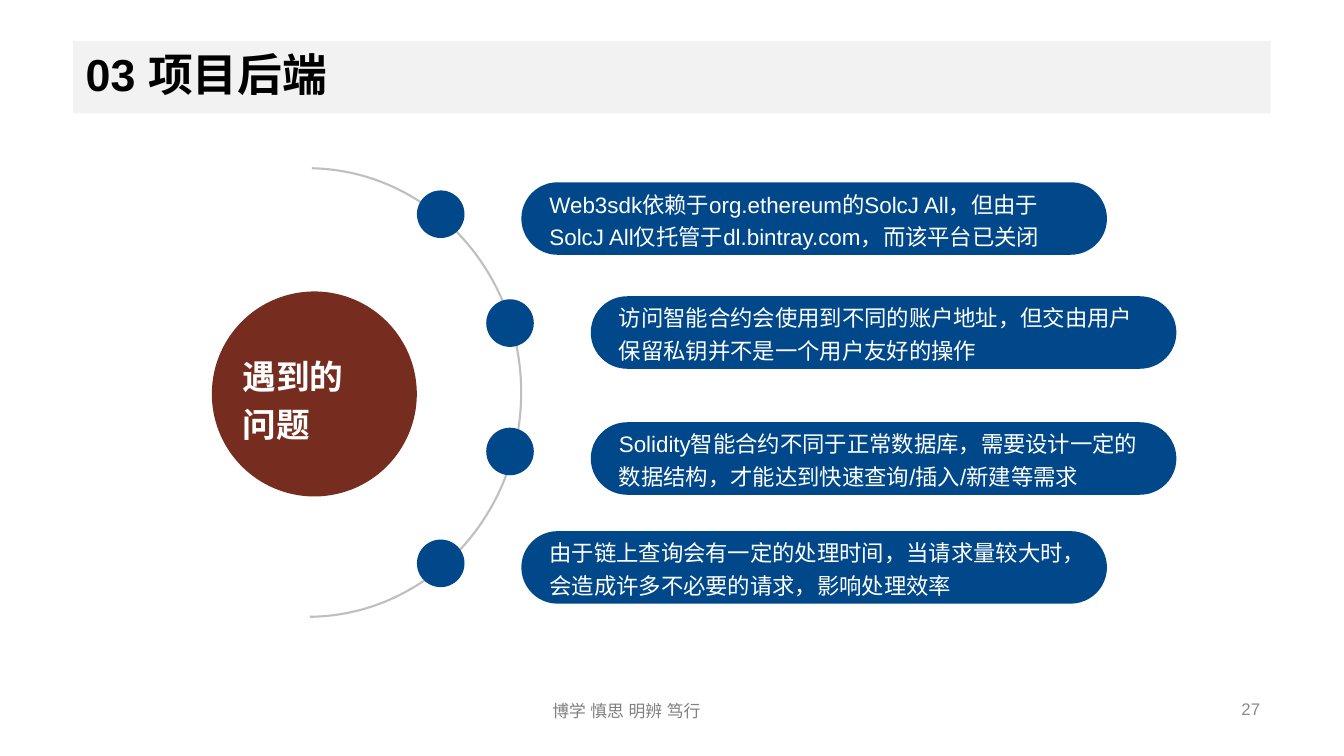
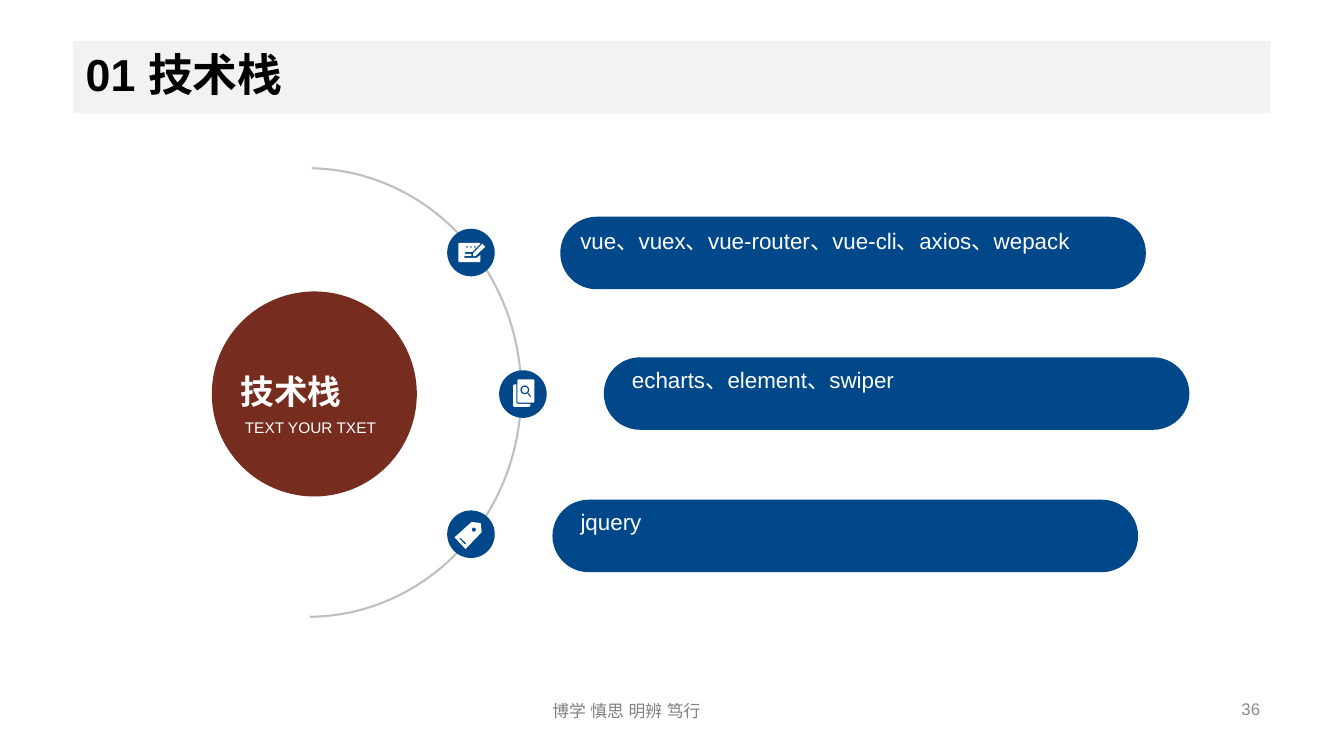
from dataclasses import dataclass
from math import cos, pi, sin

from lxml import etree
from pptx import Presentation
from pptx.dml.color import RGBColor
from pptx.enum.shapes import MSO_SHAPE
from pptx.enum.text import MSO_ANCHOR, PP_ALIGN
from pptx.oxml.ns import qn
from pptx.shapes.autoshape import Shape
from pptx.slide import Slide
from pptx.text.text import TextFrame
from pptx.util import Pt

ARC, OVAL = MSO_SHAPE.ARC, MSO_SHAPE.OVAL
ROUND = MSO_SHAPE.ROUNDED_RECTANGLE
TOP, MIDDLE = MSO_ANCHOR.TOP, MSO_ANCHOR.MIDDLE
LEFT, RIGHT, JUSTIFY = PP_ALIGN.LEFT, PP_ALIGN.RIGHT, PP_ALIGN.JUSTIFY

BLUE = RGBColor(0x00, 0x48, 0x8A)
BROWN = RGBColor(0x76, 0x2D, 0x1F)
BAND = RGBColor(0xF2, 0xF2, 0xF2)
RING = RGBColor(0xBF, 0xBF, 0xBF)
FOOT = RGBColor(0x80, 0x80, 0x80)
PAGE = RGBColor(0x8C, 0x8C, 0x8C)
WHITE = RGBColor(0xFF, 0xFF, 0xFF)
BLACK = RGBColor(0x00, 0x00, 0x00)

FONT = "Arial"
DOT = 34
PILL_W, PILL_H = 418.3, 51.8
TEXT_W = 392.4

Points = list[tuple[float, float]]


@dataclass
class Label:
    text: str
    x: float
    y: float
    w: float
    h: float
    size: float
    color: RGBColor = WHITE
    bold: bool = False
    align: PP_ALIGN = LEFT
    anchor: MSO_ANCHOR = TOP
    space: float = 1.0
    wrap: bool = True


@dataclass
class Pill:
    text: str
    x: float
    y: float
    dx: float = 13
    dy: float = -1.4


@dataclass
class Dot:
    x: float
    y: float
    icon: tuple[Points, ...] = ()


@dataclass
class Page:
    title: str
    number: str
    labels: list[Label]
    dots: list[Dot]
    pills: list[Pill]


def disc(x: float, y: float, r: float) -> Points:
    """Outline of a small circle as a 20-sided polygon."""
    turns = [2 * pi * i / 20 for i in range(20)]
    return [(x + r * cos(a), y + r * sin(a)) for a in turns]


# Icon outlines, in points from the top left of their dot
PEN = (
    [(25.2, 10.6), (27.2, 12.8), (20.4, 19.4), (18.5, 19.6), (18.5, 17.7)],
    [(8.6, 10), (23.3, 10), (23.8, 10.7), (18, 16.6), (13, 16.6),
     (12.4, 17.3), (13, 18), (17.3, 18), (17.3, 19.4), (12.6, 19.4),
     (12, 20.1), (12.6, 20.9), (20.9, 20.9), (23.8, 18.7), (23.8, 23.2),
     (23.2, 23.8), (8.6, 23.8), (8, 23.2), (8, 10.7)],
    *(disc(x, 13, 0.6) for x in (14.2, 17, 19.8)),
)
PAPERS = (
    [(10.1, 10.7), (10.7, 10.1), (12.3, 10.1), (12.3, 23), (13.4, 24),
     (22.3, 24), (22.3, 25.5), (21.5, 26.2), (10.8, 26.2), (10.1, 25.5)],
    [(13, 7.2), (13.7, 6.5), (24.5, 6.5), (25.2, 7.2), (25.2, 22.4),
     (24.5, 23.1), (13.7, 23.1), (13, 22.4)],
    disc(18.4, 14, 3.2),
    disc(18.4, 14, 2.1),
    [(20.2, 16.6), (22.3, 19.4), (23, 18.8), (20.9, 15.8)],
)
TAG = (
    [(17.5, 8.2), (24, 9), (24.7, 15.5), (13.2, 27.5), (5.3, 19.2)],
    [(13, 24.5), (8.7, 20.2), (9.4, 19.5), (13.7, 23.5)],
    disc(19.1, 13.7, 1.5),
)


def style(frame: TextFrame, look: Label) -> None:
    frame.text = look.text
    frame.word_wrap = look.wrap
    frame.vertical_anchor = look.anchor
    for para in frame.paragraphs:
        para.alignment = look.align
        para.line_spacing = look.space
        for run in para.runs:
            font = run.font
            font.name, font.size, font.bold = FONT, Pt(look.size), look.bold
            font.color.rgb = look.color
            props = run._r.get_or_add_rPr()
            etree.SubElement(props, qn("a:ea")).set("typeface", FONT)


def write(slide: Slide, look: Label) -> None:
    box = slide.shapes.add_textbox(
        Pt(look.x), Pt(look.y), Pt(look.w), Pt(look.h))
    style(box.text_frame, look)


def paint(shape: Shape, color: RGBColor) -> None:
    shape.shadow.inherit = False
    shape.fill.solid()
    shape.fill.fore_color.rgb = color
    shape.line.fill.background()


def add(slide: Slide, kind: MSO_SHAPE, x: float, y: float,
        w: float, h: float, color: RGBColor) -> Shape:
    shape = slide.shapes.add_shape(kind, Pt(x), Pt(y), Pt(w), Pt(h))
    paint(shape, color)
    return shape


def add_arc(slide: Slide) -> None:
    arc = add(slide, ARC, 67.7, 120.2, 304.6, 320.4, RING)
    arc.adjustments[0], arc.adjustments[1] = 162.609, 53.719
    arc.fill.background()
    arc.line.color.rgb = RING
    arc.line.width = Pt(1.5)


def add_title(slide: Slide, text: str) -> None:
    title = slide.shapes.title
    look = Label(text, 52.2, 29.2, 855.4, 51.8, 32, BLACK, True,
                 anchor=MIDDLE, space=0.9)
    title.left, title.top = Pt(look.x), Pt(look.y)
    title.width, title.height = Pt(look.w), Pt(look.h)
    paint(title, BAND)
    style(title.text_frame, look)
    title.text_frame.margin_left = Pt(9)


def add_dot(slide: Slide, dot: Dot) -> None:
    add(slide, OVAL, dot.x, dot.y, DOT, DOT, BLUE)
    if not dot.icon:
        return
    rings = [[(Pt(dot.x + x), Pt(dot.y + y)) for x, y in ring]
             for ring in dot.icon]
    pen = slide.shapes.build_freeform(*rings[0][0])
    for ring in rings:
        pen.move_to(*ring[0])
        pen.add_line_segments(ring[1:], close=True)
    paint(pen.convert_to_shape(), WHITE)


def add_pill(slide: Slide, pill: Pill) -> None:
    shape = add(slide, ROUND, pill.x, pill.y, PILL_W, PILL_H, BLUE)
    shape.adjustments[0] = 0.5
    write(slide, Label(pill.text, pill.x + pill.dx, pill.y + pill.dy,
                       TEXT_W, PILL_H, 16, space=1.2))


def add_page(deck: Presentation, page: Page) -> None:
    slide = deck.slides.add_slide(deck.slide_layouts[5])
    add_title(slide, page.title)
    add_arc(slide)
    add(slide, OVAL, 151.3, 208.2, 146.4, 146.4, BROWN)
    for dot in page.dots:
        add_dot(slide, dot)
    for pill in page.pills:
        add_pill(slide, pill)
    foot = Label("博学 慎思 明辨 笃行", 387.4, 496.8, 185, 21.8, 12, FOOT,
                 align=JUSTIFY, anchor=MIDDLE)
    number = Label(page.number, 691.2, 491.8, 216, 28.8, 12, PAGE,
                   align=RIGHT, anchor=MIDDLE)
    for label in (*page.labels, foot, number):
        write(slide, label)


PAGES = [
    Page(
        "03 项目后端", "27",
        [Label("遇到的\n问题", 166.3, 244.8, 118.8, 74.2, 24, bold=True,
               align=JUSTIFY, space=1.2)],
        [Dot(297.8, 136), Dot(347.3, 213.8), Dot(347.3, 305.5),
         Dot(297.8, 385.4)],
        [Pill("Web3sdk依赖于org.ethereum的SolcJ All，但由于SolcJ All"
              "仅托管于dl.bintray.com，而该平台已关闭", 372.4, 130.2),
         Pill("访问智能合约会使用到不同的账户地址，但交由用户"
              "保留私钥并不是一个用户友好的操作", 422, 211.6),
         Pill("Solidity智能合约不同于正常数据库，需要设计一定的"
              "数据结构，才能达到快速查询/插入/新建等需求", 422, 301.6),
         Pill("由于链上查询会有一定的处理时间，当请求量较大时，"
              "会造成许多不必要的请求，影响处理效率", 372.4, 379.4)],
    ),
    Page(
        "01 技术栈", "36",
        [Label("技术栈", 164.9, 255.6, 118.8, 41.8, 24, bold=True,
               align=JUSTIFY, space=1.2),
         Label("TEXT YOUR TXET", 167.8, 292.3, 110.2, 21.6, 11,
               space=1.2, wrap=False)],
        [Dot(319.4, 163.4, PEN), Dot(356.5, 264.5, PAPERS),
         Dot(319.4, 364.6, TAG)],
        [Pill("vue、vuex、vue-router、vue-cli、axios、wepack",
              400.2, 154.8, 7.2, 0),
         Pill("echarts、element、swiper", 431.3, 255.2),
         Pill("jquery", 394.6, 356.9)],
    ),
]


def main() -> None:
    deck = Presentation()
    deck.slide_width, deck.slide_height = Pt(960), Pt(540)
    for page in PAGES:
        add_page(deck, page)
    deck.save("out.pptx")


if __name__ == "__main__":
    main()
